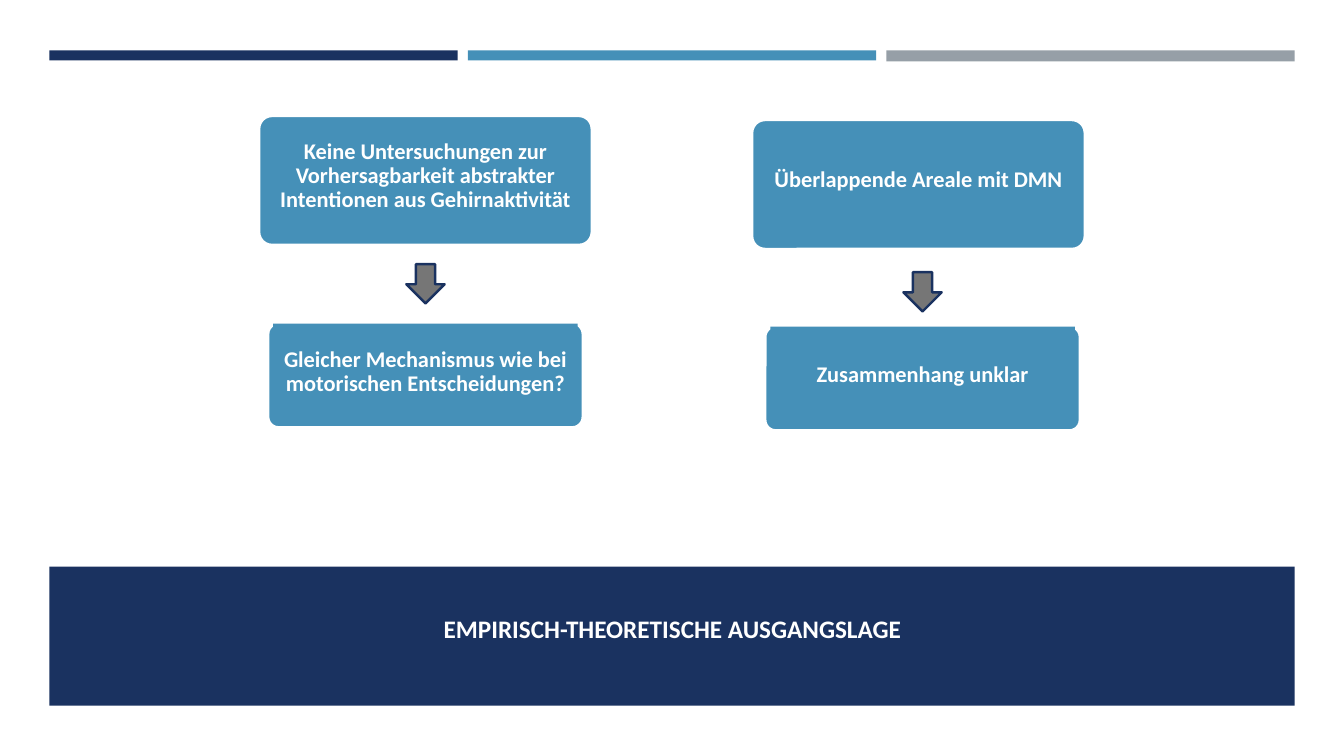
from pptx import Presentation
from pptx.dml.color import RGBColor
from pptx.enum.shapes import MSO_SHAPE
from pptx.enum.text import MSO_ANCHOR, PP_ALIGN
from pptx.util import Inches, Pt

NAVY = RGBColor(0x1A, 0x32, 0x60)
BLUE = RGBColor(0x45, 0x90, 0xB8)
SILVER = RGBColor(0x96, 0x9F, 0xA7)
GRAY = RGBColor(0x76, 0x76, 0x76)
WHITE = RGBColor(0xFF, 0xFF, 0xFF)
FONT = "Calibri"

TITLE = "EMPIRISCH-THEORETISCHE AUSGANGSLAGE"
# Each column: finding (left, top), arrow (left, top), conclusion (left, top)
COLUMNS = [
    {
        "finding": ("Keine Untersuchungen zur Vorhersagbarkeit abstrakter "
                    "Intentionen aus Gehirnaktivität", 2.57, 1.15),
        "arrow": (4.03, 2.62),
        "conclusion": ("Gleicher Mechanismus wie bei motorischen Entscheidungen?",
                       2.66, 3.21),
    },
    {
        "finding": ("Überlappende Areale mit DMN", 7.46, 1.19),
        "arrow": (8.96, 2.7),
        "conclusion": ("Zusammenhang unklar", 7.59, 3.24),
    },
]
FINDING_SIZE = (3.3, 1.28)
CONCLUSION_SIZE = (3.12, 1.03)
ARROW_SIZE = (0.38, 0.39)
LABEL_INDENT = 0.05

MARGIN = 0.49
CONTENT_WIDTH = 12.35
BAR_GAP = 0.1
BARS = [(NAVY, 0.1), (BLUE, 0.1), (SILVER, 0.11)]


def add_block(slide, kind, left, top, width, height, fill, line=None):
    shape = slide.shapes.add_shape(
        kind, Inches(left), Inches(top), Inches(width), Inches(height))
    shape.shadow.inherit = False
    shape.fill.solid()
    shape.fill.fore_color.rgb = fill
    if line is None:
        shape.line.fill.background()
    else:
        shape.line.color.rgb = line
        shape.line.width = Pt(1.75)
    return shape


def add_label(slide, text, left, top, width, height, size):
    label = slide.shapes.add_textbox(
        Inches(left), Inches(top), Inches(width), Inches(height))
    frame = label.text_frame
    frame.word_wrap = True
    frame.text = text
    paragraph = frame.paragraphs[0]
    paragraph.alignment = PP_ALIGN.CENTER
    font = paragraph.runs[0].font
    font.name, font.size, font.bold = FONT, Pt(size), True
    font.color.rgb = WHITE
    return label


def add_card(slide, text, left, top, size, label_drop, label_fill=None):
    """Rounded card with a text area shorter than the card by label_drop."""
    width, height = size
    card = add_block(slide, MSO_SHAPE.ROUNDED_RECTANGLE, left, top, width, height,
                     BLUE, WHITE)
    card.adjustments[0] = 0.1
    label = add_label(slide, text, left + LABEL_INDENT, top,
                      width - 2 * LABEL_INDENT, height - label_drop, 16)
    if label_fill is not None:
        label.fill.solid()
        label.fill.fore_color.rgb = label_fill
    frame = label.text_frame
    frame.vertical_anchor = MSO_ANCHOR.MIDDLE
    frame.margin_left = frame.margin_right = Inches(0.01)
    frame.margin_top = frame.margin_bottom = Inches(0.01)
    frame.paragraphs[0].line_spacing = 0.9


def main():
    presentation = Presentation()
    presentation.slide_width = Inches(13.33)
    presentation.slide_height = Inches(7.5)
    slide = presentation.slides.add_slide(presentation.slide_layouts[6])

    bar_width = (CONTENT_WIDTH - BAR_GAP * (len(BARS) - 1)) / len(BARS)
    for index, (color, height) in enumerate(BARS):
        add_block(slide, MSO_SHAPE.RECTANGLE, MARGIN + index * (bar_width + BAR_GAP),
                  0.5, bar_width, height, color)

    add_block(slide, MSO_SHAPE.RECTANGLE, MARGIN, 5.62, CONTENT_WIDTH, 1.38, NAVY)
    title = add_label(slide, TITLE, 0.64, 6.04, 12.06, 0.66, 18)
    title.text_frame.paragraphs[0].space_after = Pt(6)

    for column in COLUMNS:
        add_card(slide, *column["finding"], FINDING_SIZE, 0.08)
        add_card(slide, *column["conclusion"], CONCLUSION_SIZE, 0.06, BLUE)
        add_block(slide, MSO_SHAPE.DOWN_ARROW, *column["arrow"], *ARROW_SIZE,
                  GRAY, NAVY)

    presentation.save("out.pptx")


if __name__ == "__main__":
    main()
